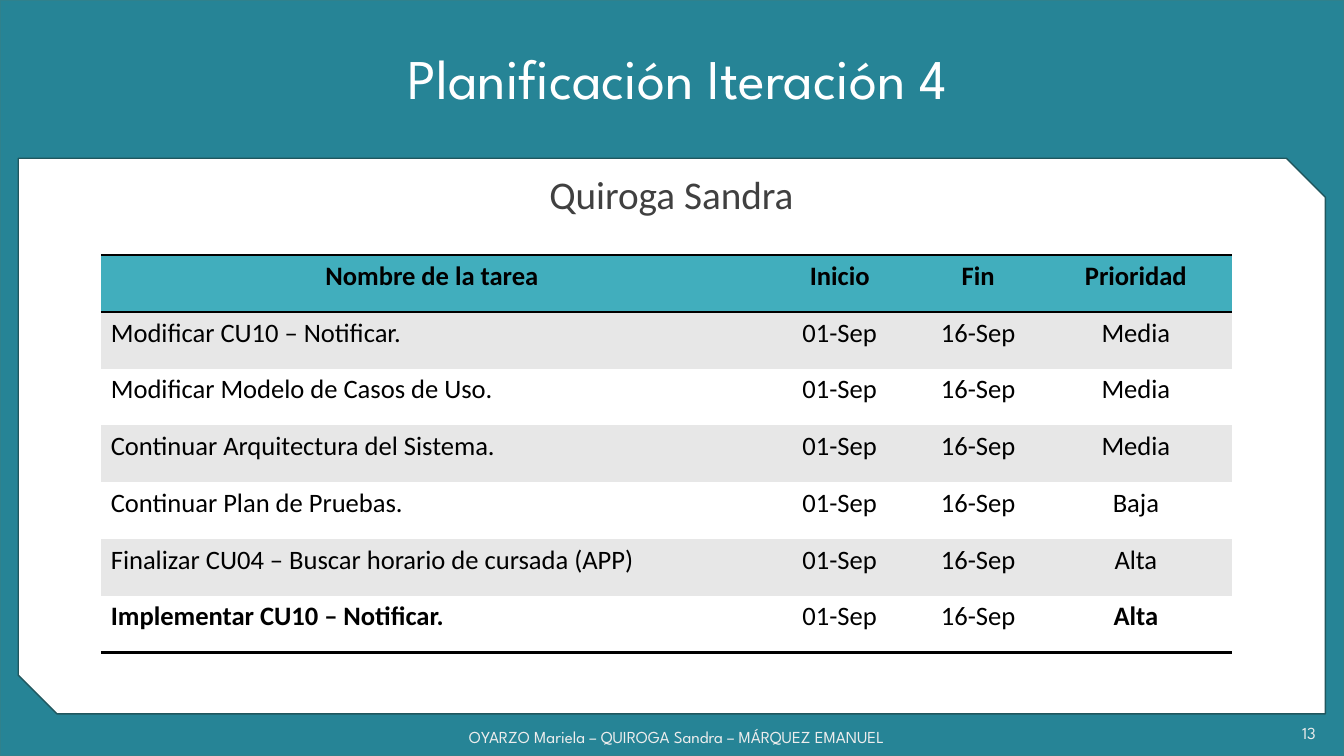
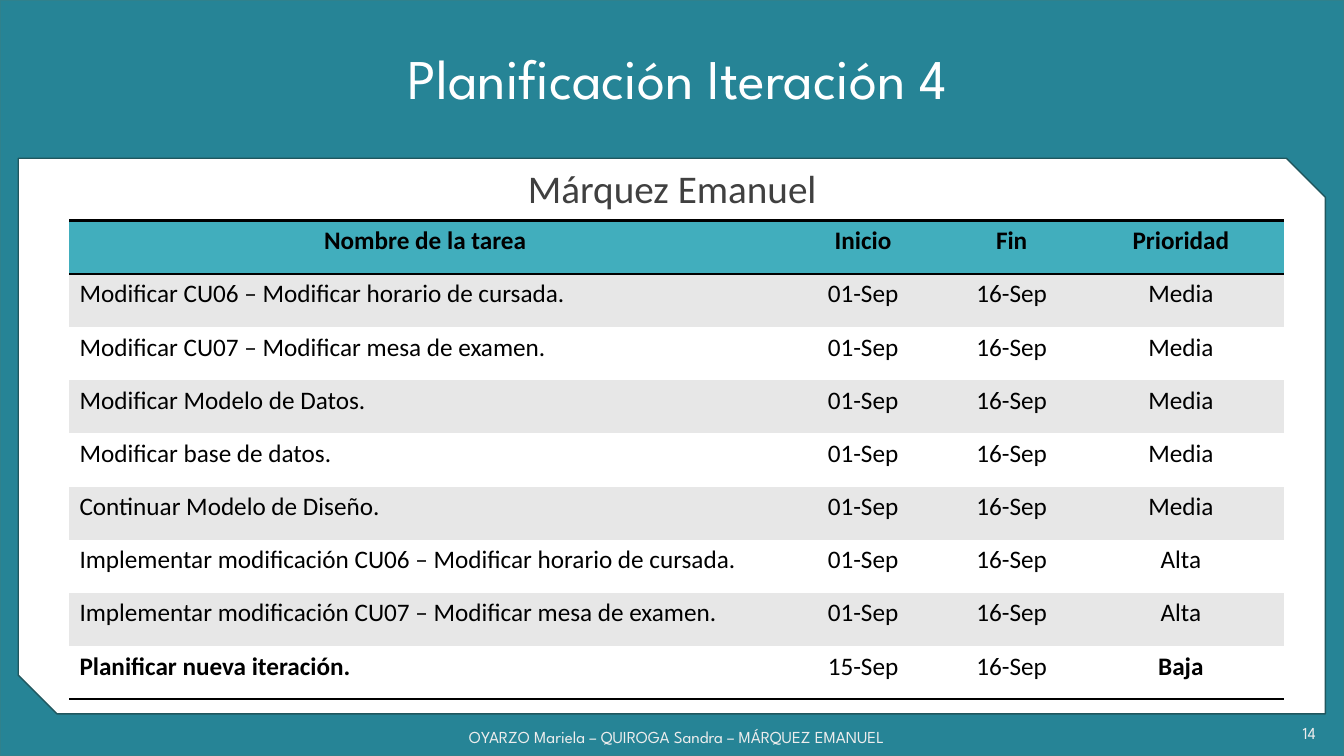
from lxml import etree
from pptx import Presentation
from pptx import util as u
from pptx.dml.color import RGBColor
from pptx.enum import shapes, text
from pptx.oxml import ns

# Content
TITLE = "Planificación Iteración 4"
TEAM = "OYARZO Mariela – QUIROGA Sandra – MÁRQUEZ EMANUEL"
HEAD = ("Nombre de la tarea", "Inicio", "Fin", "Prioridad")
START, END = "01-Sep", "16-Sep"
PLANS = [
    dict(page=13, name="Quiroga Sandra", name_at=(0.46, 4.29, 32.92, 1.42),
         at=(2.54, 6.43), cols=(16.69, 3.86, 3.12, 4.83), row=1.43, size=19,
         tasks=[
             ("Modificar CU10 – Notificar.", START, END, "Media"),
             ("Modificar Modelo de Casos de Uso.", START, END, "Media"),
             ("Continuar Arquitectura del Sistema.", START, END, "Media"),
             ("Continuar Plan de Pruebas.", START, END, "Baja"),
             ("Finalizar CU04 – Buscar horario de cursada (APP)", START, END, "Alta"),
             ("Implementar CU10 – Notificar.", START, END, "Alta"),
         ]),
    dict(page=14, name="Márquez Emanuel", name_at=(0.48, 4.14, 32.92, 1.42),
         at=(1.75, 5.56), cols=(17.93, 4.14, 3.35, 5.18), row=1.34, size=18,
         tasks=[
             ("Modificar CU06 – Modificar horario de cursada.", START, END, "Media"),
             ("Modificar CU07 – Modificar mesa de examen.", START, END, "Media"),
             ("Modificar Modelo de Datos.", START, END, "Media"),
             ("Modificar base de datos.", START, END, "Media"),
             ("Continuar Modelo de Diseño.", START, END, "Media"),
             ("Implementar modificación CU06 – Modificar horario de cursada.",
              START, END, "Alta"),
             ("Implementar modificación CU07 – Modificar mesa de examen.",
              START, END, "Alta"),
             ("Planificar nueva iteración.", "15-Sep", END, "Baja"),
         ]),
]

# Shared look
HEX = dict(back="F2F2F2", teal="268496", edge="30818C", rim="20575E",
           head="41AEBD", band="E7E7E7", white="FFFFFF", black="000000", gray="404040")
FADE = ((0, "9E9E9E"), (28, "EDEDED"), (100, "FFFFFF"))
WIDE, HIGH = 33.87, 19.05
PLAIN = "{2D5ABB26-0587-4C30-8999-92F81FD0307C}"
MID, RIGHT, LEFT = text.PP_ALIGN.CENTER, text.PP_ALIGN.RIGHT, text.PP_ALIGN.LEFT
SPARTAN = dict(name="League Spartan", bold=False)
CALIBRI = dict(name="Calibri", bold=False)


def rgb(key):
    return RGBColor.from_string(HEX[key])


def put(thing, vals):
    for key, val in vals.items():
        setattr(thing, key, val)


def place(shape, box):
    put(shape, dict(zip(("left", "top", "width", "height"), map(u.Cm, box))))


def write(frame, words, font, color, align, **para):
    frame.text = words
    line = frame.paragraphs[0]
    put(line, dict(alignment=align, **para))
    face = line.runs[0].font
    put(face, font)
    face.color.rgb = rgb(color)
    return line


def sub(parent, tag, **attrs):
    return etree.SubElement(parent, ns.qn(tag), **attrs)


def fade(line):
    # Vertical gradient across the letters
    fill = line.runs[0].font.fill
    fill.gradient()
    props = line.runs[0].font._element
    grad = props.find(ns.qn("a:gradFill"))
    for part in list(grad):
        grad.remove(part)
    stops = sub(grad, "a:gsLst")
    for pos, color in FADE:
        sub(sub(stops, "a:gs", pos=str(pos * 1000)), "a:srgbClr", val=color)
    sub(grad, "a:lin", ang="5400000", scaled="0")


def rule(cell, sides):
    # Borders come before the fill in the cell properties
    props = cell._tc.get_or_add_tcPr()
    for spot, side in enumerate(sides):
        edge = etree.Element(ns.qn("a:ln" + side), w=str(u.Pt(2)))
        sub(sub(edge, "a:solidFill"), "a:srgbClr", val=HEX["black"])
        props.insert(spot, edge)


def frame_layout(layout, slide):
    # Teal ground and snipped white panel, kept on the layout
    layout.background.fill.solid()
    layout.background.fill.fore_color.rgb = rgb("back")
    kinds = shapes.MSO_SHAPE
    for spot, (kind, box, fill, line) in enumerate((
            (kinds.RECTANGLE, (0, 0, WIDE, HIGH), "teal", "edge"),
            (kinds.SNIP_2_DIAG_RECTANGLE, (0.46, 3.99, 32.94, 14), "white", "rim"))):
        shape = slide.shapes.add_shape(kind, *map(u.Cm, box))
        shape.shadow.inherit = False
        shape.fill.solid()
        shape.fill.fore_color.rgb = rgb(fill)
        shape.line.color.rgb = rgb(line)
        shape.line.width = u.Pt(1)
        if len(shape.adjustments):
            shape.adjustments[0], shape.adjustments[1] = 0, 0.07
        layout.shapes._spTree.insert(2 + spot, shape._element)


def add_foot(slide, words, box, align):
    foot = slide.shapes.add_textbox(*map(u.Cm, box)).text_frame
    put(foot, dict(word_wrap=True, vertical_anchor=text.MSO_ANCHOR.MIDDLE))
    fade(write(foot, words, dict(SPARTAN, size=u.Pt(12)), "white", align))


def add_plan(slide, plan):
    rows = [HEAD] + plan["tasks"]
    last = len(rows) - 1
    box = (*plan["at"], sum(plan["cols"]), plan["row"] * len(rows))
    table = slide.shapes.add_table(len(rows), len(HEAD), *map(u.Cm, box)).table
    table._tbl.tblPr.find(ns.qn("a:tableStyleId")).text = PLAIN
    put(table, dict(first_row=False, horz_banding=False))
    for col, wide in zip(table.columns, plan["cols"]):
        col.width = u.Cm(wide)
    for r, row in enumerate(rows):
        table.rows[r].height = u.Cm(plan["row"])
        for c, words in enumerate(row):
            cell = table.cell(r, c)
            cell.fill.solid()
            cell.fill.fore_color.rgb = rgb("head" if r == 0 else "band" if r % 2 else "white")
            bold = r == 0 or (r == last and c in (0, len(HEAD) - 1))
            write(cell.text_frame, words, dict(CALIBRI, size=u.Pt(plan["size"]), bold=bold),
                  "black", LEFT if r and c == 0 else MID)
            rule(cell, "TB" if r == 0 else "B" if r == last else "")


# Slides
deck = Presentation()
put(deck, dict(slide_width=u.Cm(WIDE), slide_height=u.Cm(HIGH)))
layout = deck.slide_layouts[1]

for plan in PLANS:
    slide = deck.slides.add_slide(layout)
    if plan is PLANS[0]:
        frame_layout(layout, slide)

    title, name = slide.placeholders
    place(title, (6.81, 0.2, 20.52, 3.68))
    title.text_frame.vertical_anchor = text.MSO_ANCHOR.MIDDLE
    write(title.text_frame, TITLE, dict(SPARTAN, size=u.Pt(40)), "white", MID, line_spacing=0.9)

    place(name, plan["name_at"])
    line = write(name.text_frame, plan["name"], dict(CALIBRI, size=u.Pt(28)), "gray", MID,
                 line_spacing=0.9, space_before=u.Pt(12), space_after=u.Pt(6))
    props = line._p.get_or_add_pPr()
    props.set("marL", "0")
    props.set("indent", "0")
    sub(props, "a:buNone")

    add_foot(slide, TEAM, (8.48, 18.06, 17.15, 1.02), MID)
    add_foot(slide, str(plan["page"]), (28.63, 17.98, 4.78, 0.99), RIGHT)
    add_plan(slide, plan)

deck.save("out.pptx")
